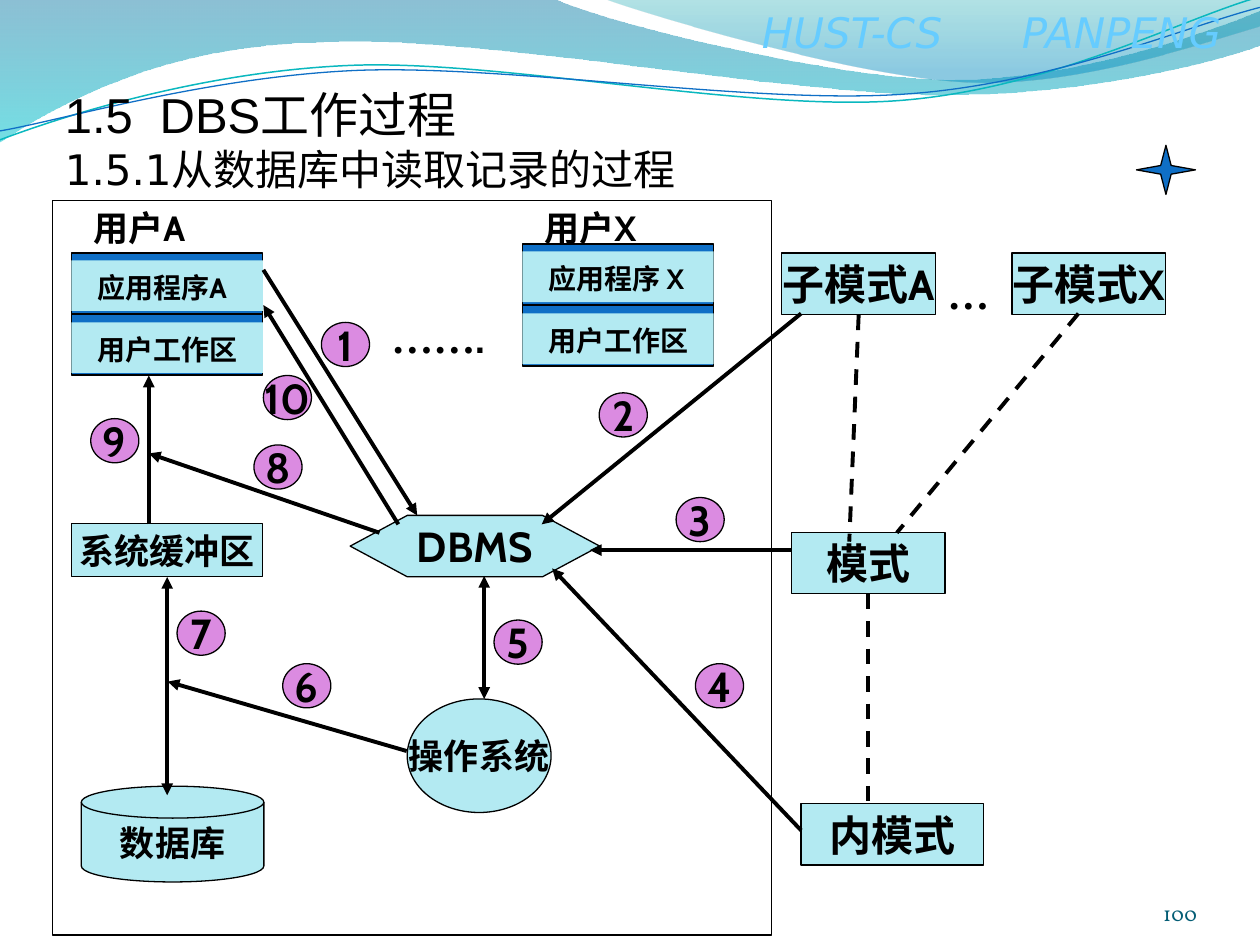
"""Build the slide on how a database system reads a record."""
from lxml import etree
from pptx import Presentation
from pptx import util as u
from pptx.dml.color import RGBColor
from pptx.enum import dml, shapes, text
from pptx.oxml import ns

BLACK = RGBColor(0x00, 0x00, 0x00)
WHITE = RGBColor(0xFF, 0xFF, 0xFF)
BLUE = RGBColor(0x0F, 0x6F, 0xC6)
TEAL = RGBColor(0x0A, 0xB8, 0xBF)
PALE = RGBColor(0xB3, 0xEA, 0xF2)
VIOLET = RGBColor(0xDB, 0x8B, 0xE1)
SKY = RGBColor(0x66, 0xCC, 0xFF)
NUMBER = RGBColor(0x04, 0x5D, 0x75)
BACK_WAVE = ((RGBColor(0x00, 0x74, 0xA1), 0, 45), (RGBColor(0x00, 0xC6, 0xCF), 1, 55))
FRONT_WAVE = ((RGBColor(0x00, 0xA1, 0xA9), 0, 30), (RGBColor(0x00, 0x8B, 0xBF), 0.8, 45))
TOP, LEFT, BOTTOM, RIGHT = range(4)
SHAPE = shapes.MSO_SHAPE
ALIGN = text.PP_ALIGN


def add_xml(parent, tag, **attributes):
    return etree.SubElement(parent, ns.qn(tag), attributes)


def write(paragraph, words, font="Cabin", size=24, color=BLACK, bold=False,
          italic=False, align=None, tab=None):
    if align is not None:
        paragraph.alignment = align
    if tab is not None:
        tabs = add_xml(paragraph._p.get_or_add_pPr(), "a:tabLst")
        add_xml(tabs, "a:tab", pos=str(u.Cm(tab)), algn="l")
    run = paragraph.add_run()
    run.text = words
    run.font.name = font
    run.font.size = u.Pt(size)
    run.font.color.rgb = color
    run.font.bold = bold
    run.font.italic = italic


def bend(shape, parts):
    segments = iter(list(shape._element.iter(ns.qn("a:lnTo"))))
    for part in parts:
        segment = next(segments)
        if len(part) == 6:
            segment.tag = ns.qn("a:cubicBezTo")
            for follower in (next(segments), next(segments)):
                segment.append(follower[0])
                follower.getparent().remove(follower)


class Diagram:
    def __init__(self, slide):
        self.slide = slide
        self.thin = u.Pt(0.75)
        self.thick = u.Pt(2.25)

    def curve(self, outline, color=None, width=0.75, stops=None):
        points = [(u.Cm(part[i]), u.Cm(part[i + 1]))
                  for part in outline for i in range(0, len(part), 2)]
        builder = self.slide.shapes.build_freeform(*points[0])
        builder.add_line_segments(points[1:], close=stops is not None)
        shape = builder.convert_to_shape()
        bend(shape, outline[1:])
        shape.shadow.inherit = False
        if stops is None:
            shape.fill.background()
            shape.line.color.rgb = color
            shape.line.width = u.Pt(width)
            return
        shape.line.fill.background()
        shape.fill.gradient()
        shape.fill.gradient_angle = 270
        for stop, (shade, position, alpha) in zip(shape.fill.gradient_stops, stops):
            stop.color.rgb = shade
            stop.position = position
        fills = shape._element.spPr.iter(ns.qn("a:srgbClr"))
        for element, (shade, position, alpha) in zip(fills, stops):
            add_xml(element, "a:alpha", val=str(alpha * 1000))

    def label(self, words, left, top, width, height, **style):
        box = self.slide.shapes.add_textbox(u.Cm(left), u.Cm(top), u.Cm(width), u.Cm(height))
        frame = box.text_frame
        frame.word_wrap = True
        write(frame.paragraphs[0], words, **style)
        return frame

    def node(self, kind, left, top, width, height, words="", fill=PALE, size=24, outline=True):
        shape = self.slide.shapes.add_shape(kind, u.Cm(left), u.Cm(top), u.Cm(width), u.Cm(height))
        shape.shadow.inherit = False
        shape.fill.solid()
        shape.fill.fore_color.rgb = fill
        if outline:
            shape.line.color.rgb = BLACK
            shape.line.width = self.thin
        else:
            shape.line.fill.background()
        if words:
            frame = shape.text_frame
            frame.word_wrap = False
            frame.vertical_anchor = text.MSO_ANCHOR.MIDDLE
            write(frame.paragraphs[0], words, size=size, bold=True, align=ALIGN.CENTER)
        return shape

    def panel(self, words, left, top):
        shape = self.node(SHAPE.RECTANGLE, left, top, 3.86, 1.02, outline=False)
        frame = shape.text_frame
        frame.vertical_anchor = text.MSO_ANCHOR.TOP
        frame.margin_left = u.Cm(0.53)
        frame.margin_top = u.Cm(0.21)
        frame.margin_bottom = 0
        write(frame.paragraphs[0], words, size=16, bold=True, align=ALIGN.LEFT)

    def user(self, name, program, left, top):
        block = self.node(SHAPE.RECTANGLE, left, top, 3.86, 2.46, fill=BLUE)
        middle = top + 1.23
        self.line(left, middle, left + 3.86, middle, width=self.thin,
                  start=(block, LEFT), end=(block, RIGHT))
        self.panel(program, left, top + 0.15)
        self.panel("用户工作区", left, top + 1.4)
        self.label(name, left + 0.19, 4.04, 3.28, 1.09, size=20, bold=True)

    def line(self, x1, y1, x2, y2, width=None, dashed=False, heads=(), start=None, end=None):
        connector = self.slide.shapes.add_connector(
            shapes.MSO_CONNECTOR.STRAIGHT, u.Cm(x1), u.Cm(y1), u.Cm(x2), u.Cm(y2))
        if start:
            connector.begin_connect(*start)
        if end:
            connector.end_connect(*end)
        connector.line.color.rgb = BLACK
        connector.line.width = width or self.thick
        if dashed:
            connector.line.dash_style = dml.MSO_LINE.DASH
        properties = connector._element.spPr
        for head in heads:
            add_xml(properties.find(ns.qn("a:ln")), head, type="triangle")
        add_xml(properties, "a:effectLst")


def draw_header(diagram):
    diagram.curve([(0, -0.02), (11.18, -0.02), (12.09, 0.43, 16.87, 1.6, 19.25, 1.6),
                   (21.67, 1.6, 24.33, 0.66, 25.4, 0.23), (25.42, 0.91),
                   (24.97, 1.12, 22.1, 1.93, 18.95, 1.91), (15.8, 1.91, 9.7, 0.71, 6.53, 0.86),
                   (3.28, 0.89, 1.17, 2.11, -0.02, 2.87)], stops=BACK_WAVE)
    diagram.curve([(12.17, -0.02), (12.93, 0.28, 17.32, 1.57, 19.53, 1.65),
                   (21.74, 1.75, 24.41, 0.81, 25.4, 0.53), (25.4, 0)], stops=FRONT_WAVE)
    diagram.curve([(0, 2.82), (1.22, 2.36, 4.01, 1.45, 7.04, 1.32),
                   (10.03, 1.19, 15.06, 2.26, 18.11, 2.03),
                   (21.16, 1.8, 23.83, 0.38, 25.35, -0.05)], TEAL, 0.85)
    diagram.curve([(0, 2.64), (1.19, 2.44, 4.17, 1.55, 7.19, 1.42),
                   (10.24, 1.3, 15.16, 2.11, 18.21, 1.9),
                   (21.23, 1.7, 23.9, 0.53, 25.4, 0.15)], BLUE)
    diagram.label("HUST-CS\tPANPENG", 15.11, 0, 10.29, 1.3, font="DejaVu Sans",
                  color=SKY, italic=True, tab=5.24)
    number = diagram.label("100", 22.02, 17.65, 2.11, 1.02, font="Vollkorn", size=12,
                           color=NUMBER, align=ALIGN.RIGHT)
    number.vertical_anchor = text.MSO_ANCHOR.BOTTOM
    number.margin_left = number.margin_right = number.margin_top = number.margin_bottom = 0
    title = diagram.label("1.5\tDBS工作过程", 1.06, 1.5, 23.5, 2.62, font="Arial", size=28,
                          align=ALIGN.JUSTIFY, tab=1.91)
    title.margin_top = title.margin_bottom = u.Cm(0.2)
    subtitle = title.add_paragraph()
    write(subtitle, "1.5.1", font="DejaVu Sans", align=ALIGN.JUSTIFY)
    write(subtitle, "从数据库中读取记录的过程", font="Times New Roman")


def draw_process(diagram):
    diagram.node(SHAPE.RECTANGLE, 1.06, 4.04, 14.5, 14.81, fill=WHITE)
    dots = diagram.label("……", 7.64, 6.15, 3.1, 1.27, font="Times New Roman", bold=True)
    write(dots.paragraphs[0], ".", bold=True)
    diagram.user("用户A", "应用程序A", 1.44, 5.1)
    diagram.user("用户X", "应用程序 X", 10.53, 4.92)
    buffer = diagram.node(SHAPE.RECTANGLE, 1.44, 10.56, 3.86, 1.07, "系统缓冲区", size=20)
    dbms = diagram.node(SHAPE.HEXAGON, 7.06, 10.39, 5.03, 1.24, "DBMS")
    dbms.adjustments[0] = 0.93
    diagram.node(SHAPE.OVAL, 8.21, 14.09, 2.9, 2.29, "操作系统", size=20)
    diagram.node(SHAPE.FLOWCHART_MAGNETIC_DISK, 1.64, 15.85, 3.68, 1.93, "数据库", size=20)
    diagram.node(SHAPE.RECTANGLE, 16.15, 16.2, 3.68, 1.24, "内模式")
    schema = diagram.node(SHAPE.RECTANGLE, 15.95, 10.73, 3.1, 1.24, "模式")
    subschema = diagram.node(SHAPE.RECTANGLE, 15.76, 5.1, 3.1, 1.24, "子模式A")
    diagram.node(SHAPE.RECTANGLE, 20.4, 5.1, 3.1, 1.24, "子模式X")
    diagram.label("…", 18.85, 5.26, 1.14, 1.27, font="Times New Roman", bold=True)

    diagram.line(17.5, 11.97, 17.5, 16.2, dashed=True, start=(schema, BOTTOM))
    diagram.line(17.31, 6.34, 17.12, 10.92, dashed=True, start=(subschema, BOTTOM))
    diagram.line(21.74, 6.32, 18.08, 10.74, dashed=True)
    for ends in ((5.31, 5.44, 8.41, 10.39), (8.03, 10.57, 5.31, 6.15), (3, 10.57, 3, 7.57),
                 (7.65, 10.74, 3, 9.14), (8.2, 15.14, 3.38, 13.74),
                 (16.15, 6.32, 10.92, 10.57), (15.95, 11.09, 11.89, 11.09),
                 (16.15, 16.74, 11.13, 11.46)):
        diagram.line(*ends, heads=("a:tailEnd",))
    both = ("a:headEnd", "a:tailEnd")
    diagram.line(3.37, 11.63, 3.37, 16.03, heads=both, start=(buffer, BOTTOM))
    diagram.line(9.76, 14.09, 9.76, 11.61, heads=both)

    steps = ((6.48, 6.5), (12.08, 7.92), (13.63, 10.03), (14.02, 13.38), (9.96, 12.5),
             (5.7, 13.38), (3.57, 12.32), (5.12, 8.97), (1.83, 8.44), (5.31, 7.57))
    for number, (left, top) in enumerate(steps, 1):
        diagram.node(SHAPE.OVAL, left, top, 0.97, 0.89, str(number), fill=VIOLET)
    star = diagram.node(SHAPE.STAR_4_POINT, 22.91, 2.93, 1.19, 0.99, fill=BLUE)
    star.adjustments[0] = 0.125


def main():
    presentation = Presentation()
    presentation.slide_width = u.Cm(25.4)
    presentation.slide_height = u.Cm(19.05)
    diagram = Diagram(presentation.slides.add_slide(presentation.slide_layouts[6]))
    draw_header(diagram)
    draw_process(diagram)
    presentation.save("out.pptx")


if __name__ == "__main__":
    main()
